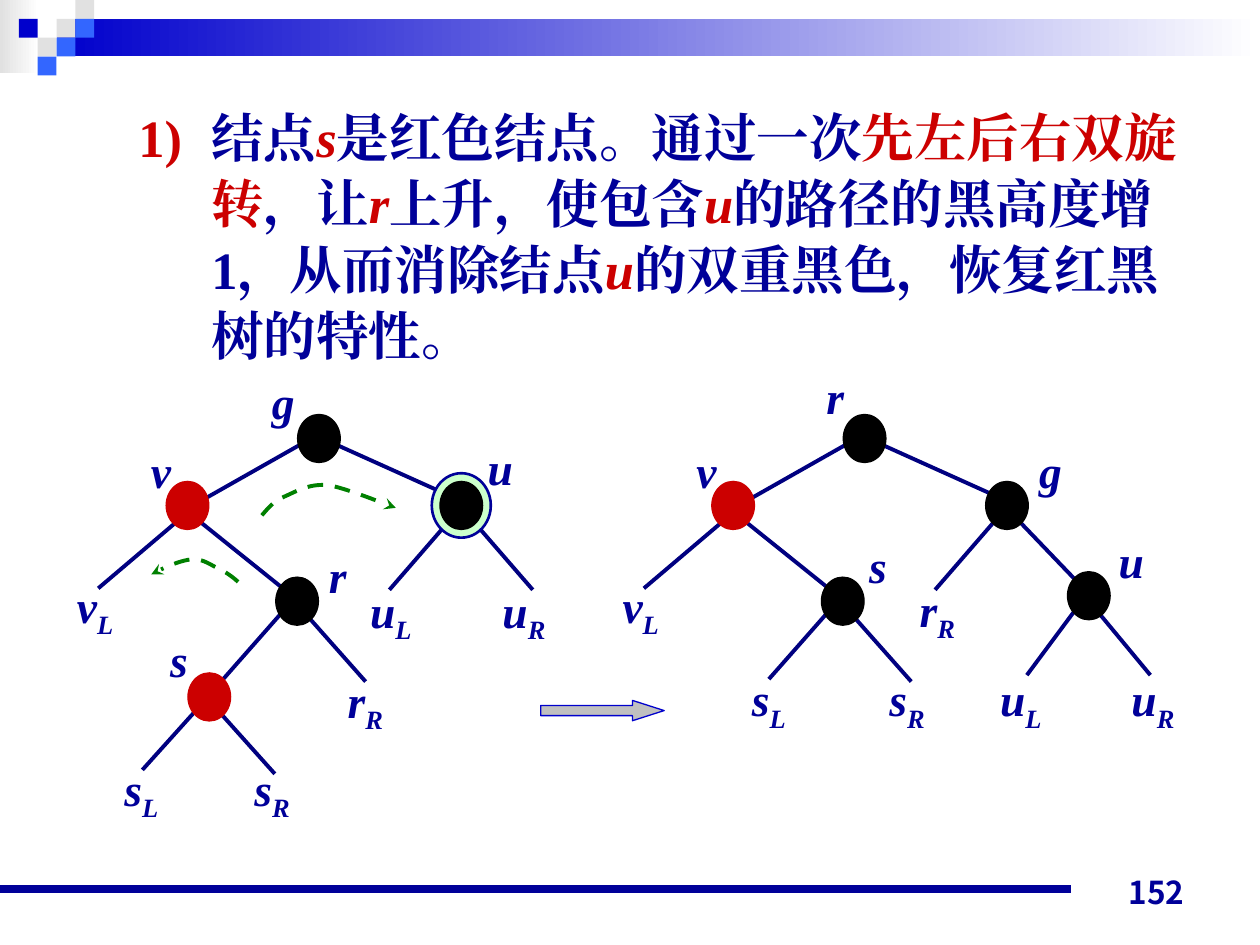
from lxml.etree import SubElement
from pptx import Presentation
from pptx.dml.color import RGBColor
from pptx.enum.dml import MSO_LINE
from pptx.enum.shapes import MSO_CONNECTOR, MSO_SHAPE
from pptx.enum.text import MSO_ANCHOR, PP_ALIGN
from pptx.oxml.ns import qn
from pptx.util import Cm, Pt

NAVY, RED, BLACK = "000099", "CC0000", "000000"
BLUE, SKY, GREY = "0000CC", "3366FF", "E1E1E1"
SERIF, SANS = "Times New Roman", "Noto Sans CJK JP"

# Parts that both trees share: edges, nodes and labels, in cm from the tree's box
EDGES = [
    (5.38, 1.62, 7.69, 2.66), (4.97, 1.54, 2.87, 2.73), (7.79, 3.16, 6.55, 4.59),
    (2.66, 3.16, 4.44, 4.59), (2.33, 3.16, 0.68, 4.56),
    (4.9, 5.12, 6.07, 6.44), (4.39, 5.04, 3.2, 6.39),
]
NODES = [(5.13, 1.54, BLACK), (2.48, 2.89, RED), (4.69, 4.82, BLACK), (8, 2.89, BLACK)]
LABELS = [("v", 1.49, 1.51), ("vL", 0, 4.23)]

# Parts of the tree before the rotation
OLD_EDGES = [(8.2, 3.16, 9.44, 4.59), (3.12, 7.05, 4.24, 8.3), (2.76, 6.9, 1.57, 8.22)]
OLD_NODES = [(2.92, 6.75, RED)]
OLD_LABELS = [
    ("g", 3.93, 0.12), ("u", 8.28, 1.44), ("r", 5.08, 3.62), ("s", 1.88, 5.32),
    ("uL", 5.91, 4.33), ("uR", 8.58, 4.33), ("rR", 5.46, 6.14),
    ("sL", 0.96, 7.91), ("sR", 3.58, 7.91),
]
TURNS = [
    [(3.98, 3.09), (4.11, 2.94), (4.21, 2.81), (4.44, 2.71), (4.67, 2.61),
     (4.92, 2.45), (5.3, 2.48), (5.66, 2.53), (6.45, 2.86), (6.68, 2.94)],
    [(3.5, 4.43), (3.37, 4.31), (3.22, 4.21), (3.04, 4.13), (2.89, 4.05),
     (2.74, 3.95), (2.54, 3.98), (2.31, 4), (1.93, 4.18), (1.75, 4.28)],
]

# Parts of the tree after the rotation
NEW_EDGES = [(8.2, 3.16, 9.59, 4.61), (9.82, 5.02, 10.89, 6.31), (9.47, 4.87, 8.4, 6.31)]
NEW_NODES = [(9.65, 4.71, BLACK)]
NEW_LABELS = [
    ("r", 4.11, 0.02), ("g", 8.4, 1.51), ("u", 10, 3.32), ("s", 4.97, 3.42),
    ("rR", 5.99, 4.31), ("sL", 2.61, 6.11), ("sR", 5.38, 6.11),
    ("uL", 7.61, 6.11), ("uR", 10.26, 6.11),
]


def tint(code):
    return RGBColor.from_string(code)


def shape(slide, kind, x, y, w, h, fill, line=None, width=0.75):
    item = slide.shapes.add_shape(kind, Cm(x), Cm(y), Cm(w), Cm(h))
    item.shadow.inherit = False
    if isinstance(fill, tuple):
        item.fill.gradient()
        item.fill.gradient_angle = 0
        for stop, code in zip(item.fill.gradient_stops, fill):
            stop.color.rgb = tint(code)
    else:
        item.fill.solid()
        item.fill.fore_color.rgb = tint(fill)
    if line:
        item.line.color.rgb = tint(line)
        item.line.width = Pt(width)
    else:
        item.line.fill.background()
    return item


def disc(slide, x, y, w, h, fill, line, width=0.75):
    shape(slide, MSO_SHAPE.OVAL, x - w / 2, y - h / 2, w, h, fill, line, width)


def edge(slide, x1, y1, x2, y2, code, width):
    line = slide.shapes.add_connector(
        MSO_CONNECTOR.STRAIGHT, Cm(x1), Cm(y1), Cm(x2), Cm(y2))
    line.line.color.rgb = tint(code)
    line.line.width = Pt(width)
    SubElement(line._element.spPr, qn("a:effectLst"))


def text(slide, x, y, w, h):
    frame = slide.shapes.add_textbox(Cm(x), Cm(y), Cm(w), Cm(h)).text_frame
    frame.word_wrap = True
    return frame, frame.paragraphs[0]


def style(para, size, face, code=NAVY):
    font = para.font
    font.size, font.name, font.bold = Pt(size), face, True
    font.color.rgb = tint(code)


def label(slide, name, x, y):
    para = text(slide, x, y, 2.4, 2.2)[1]
    style(para, 26, SERIF)
    para.font.italic = True
    para.add_run().text = name[0]
    if name[1:]:
        sub = para.add_run()
        sub.text = name[1:]
        sub._r.get_or_add_rPr().set("baseline", "-25000")


def turn(slide, x, y, knots):
    # Trace the cubic curves through the knots with short segments
    dots = [knots[0]]
    for i in range(0, len(knots) - 1, 3):
        part = knots[i:i + 4]
        for step in range(1, 13):
            t = step / 12
            mix = ((1 - t) ** 3, 3 * t * (1 - t) ** 2, 3 * t * t * (1 - t), t ** 3)
            dots.append(tuple(sum(m * p[k] for m, p in zip(mix, part)) for k in (0, 1)))
    dots = [(Cm(x + a), Cm(y + b)) for a, b in dots]
    pen = slide.shapes.build_freeform(*dots[0])
    pen.add_line_segments(dots[1:], close=False)
    arc = pen.convert_to_shape()
    arc.shadow.inherit = False
    arc.fill.background()
    arc.line.color.rgb = tint("008000")
    arc.line.width = Pt(2.25)
    arc.line.dash_style = MSO_LINE.DASH
    SubElement(arc.line._get_or_add_ln(), qn("a:tailEnd"), type="stealth")


def header(slide, x, y, w):
    unit = 0.38
    shape(slide, MSO_SHAPE.RECTANGLE, x, y, 0.79, 1.47, (GREY, "FFFFFF"))
    shape(slide, MSO_SHAPE.RECTANGLE, x + 3 * unit, y + unit, w - 3 * unit, 2 * unit,
          (BLUE, "FFFFFF"))
    tiles = [(3, 1, GREY), (4, 0, GREY), (4, 1, SKY), (2, 2, GREY),
             (1, 1, BLUE), (3, 2, SKY), (2, 3, SKY)]
    for col, row, code in tiles:
        shape(slide, MSO_SHAPE.RECTANGLE, x + col * unit, y + row * unit, unit, unit, code)


def footer(slide, x, y, w):
    edge(slide, x, y + 0.71, x + 0.85 * w, y + 0.71, NAVY, 4.5)
    frame, para = text(slide, x + 18.21, y, 5.92, 1.27)
    frame.vertical_anchor = MSO_ANCHOR.BOTTOM
    para.alignment = PP_ALIGN.RIGHT
    style(para, 18, SANS)
    para.add_run().text = "152"


def body(slide, x, y, w, h):
    para = text(slide, x, y, w, h)[1]
    props = para._p.get_or_add_pPr()
    props.set("marL", str(Cm(2.74)))
    props.set("indent", str(Cm(-1.47)))
    para.line_spacing = Pt(37.7)
    style(para, 30, SERIF)
    SubElement(props.find(qn("a:defRPr")), qn("a:ea"), typeface=SERIF)
    parts = ["1)\t", "结点", "s", "是红色结点。通过一次", "先左后右双旋转", "，让", "r",
             "上升，使包含", "u", "的路径的黑高度增1，从而消除结点", "u",
             "的双重黑色，恢复红黑树的特性。"]
    for part in parts:
        run = para.add_run()
        run.text = part
        if part in ("1)\t", "先左后右双旋转", "s", "r", "u"):
            run.font.color.rgb = tint(RED)
        if part in ("s", "r", "u"):
            run.font.italic = True


def tree(slide, x, y, edges, nodes, labels, halo=None):
    for x1, y1, x2, y2 in EDGES + edges:
        edge(slide, x + x1, y + y1, x + x2, y + y2, "000080", 2.25)
    if halo:
        disc(slide, x + halo[0], y + halo[1], 1.19, 1.3, "CCFFCC", NAVY, 1.5)
    for left, top, code in NODES + nodes:
        disc(slide, x + left, y + top, 0.86, 0.97, code, code)
    for name, left, top in LABELS + labels:
        label(slide, name, x + left, y + top)


def main():
    deck = Presentation()
    deck.slide_width, deck.slide_height = Cm(25.4), Cm(19.05)
    slide = deck.slides.add_slide(deck.slide_layouts[6])
    header(slide, 0, 0, 25.4)
    footer(slide, 0, 17.22, 25.4)
    body(slide, 1.27, 1.93, 22.86, 6.1)
    # Before and after the double rotation
    tree(slide, 1.3, 7.3, OLD_EDGES, OLD_NODES, OLD_LABELS, halo=(8, 2.89))
    for knots in TURNS:
        turn(slide, 1.3, 7.3, knots)
    arrow = shape(slide, MSO_SHAPE.RIGHT_ARROW, 10.9, 14.12, 2.49, 0.41, "C0C0C0", BLUE)
    arrow.adjustments[1] = 1.56
    tree(slide, 12.3, 7.3, NEW_EDGES, NEW_NODES, NEW_LABELS)
    deck.save("out.pptx")


if __name__ == "__main__":
    main()
